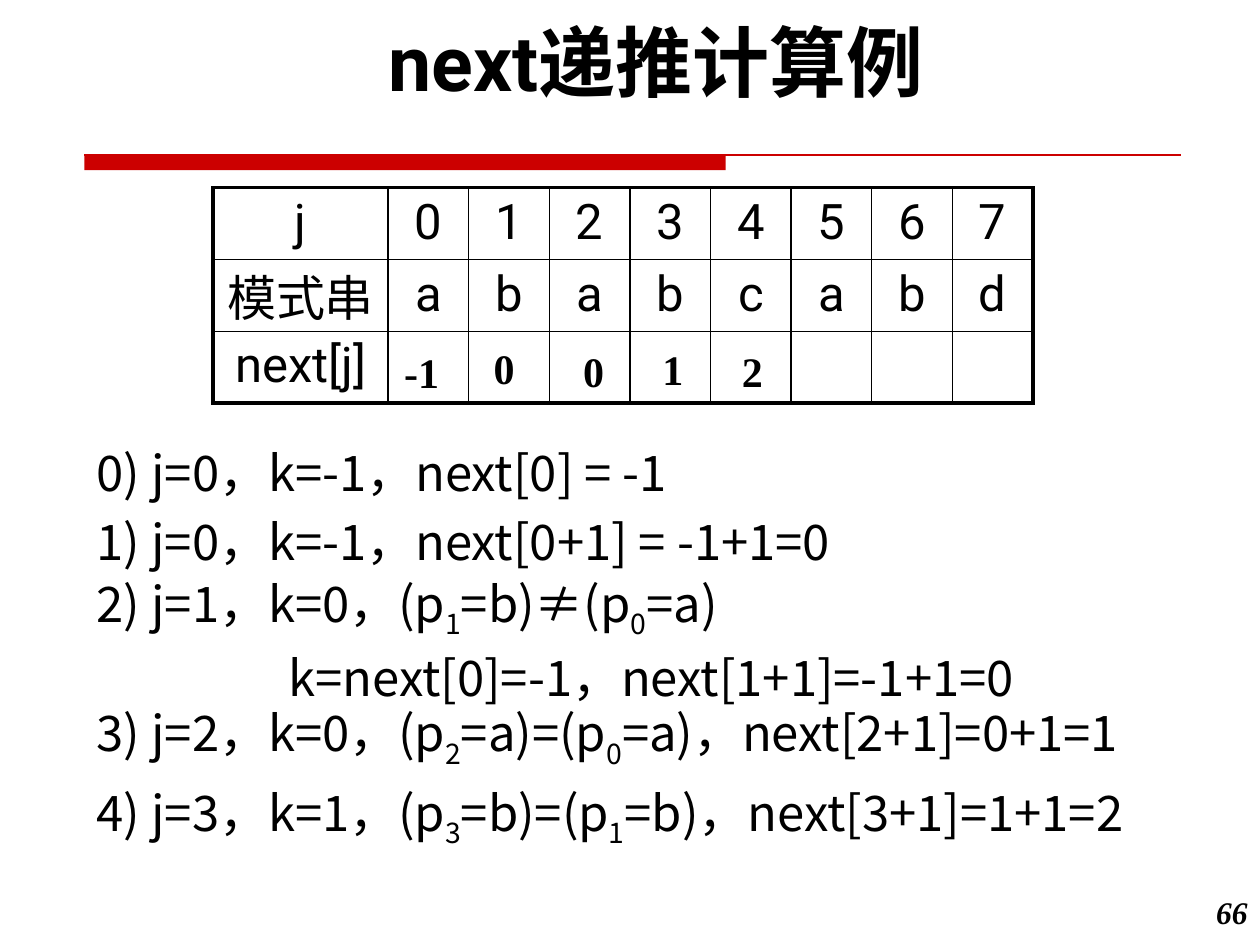
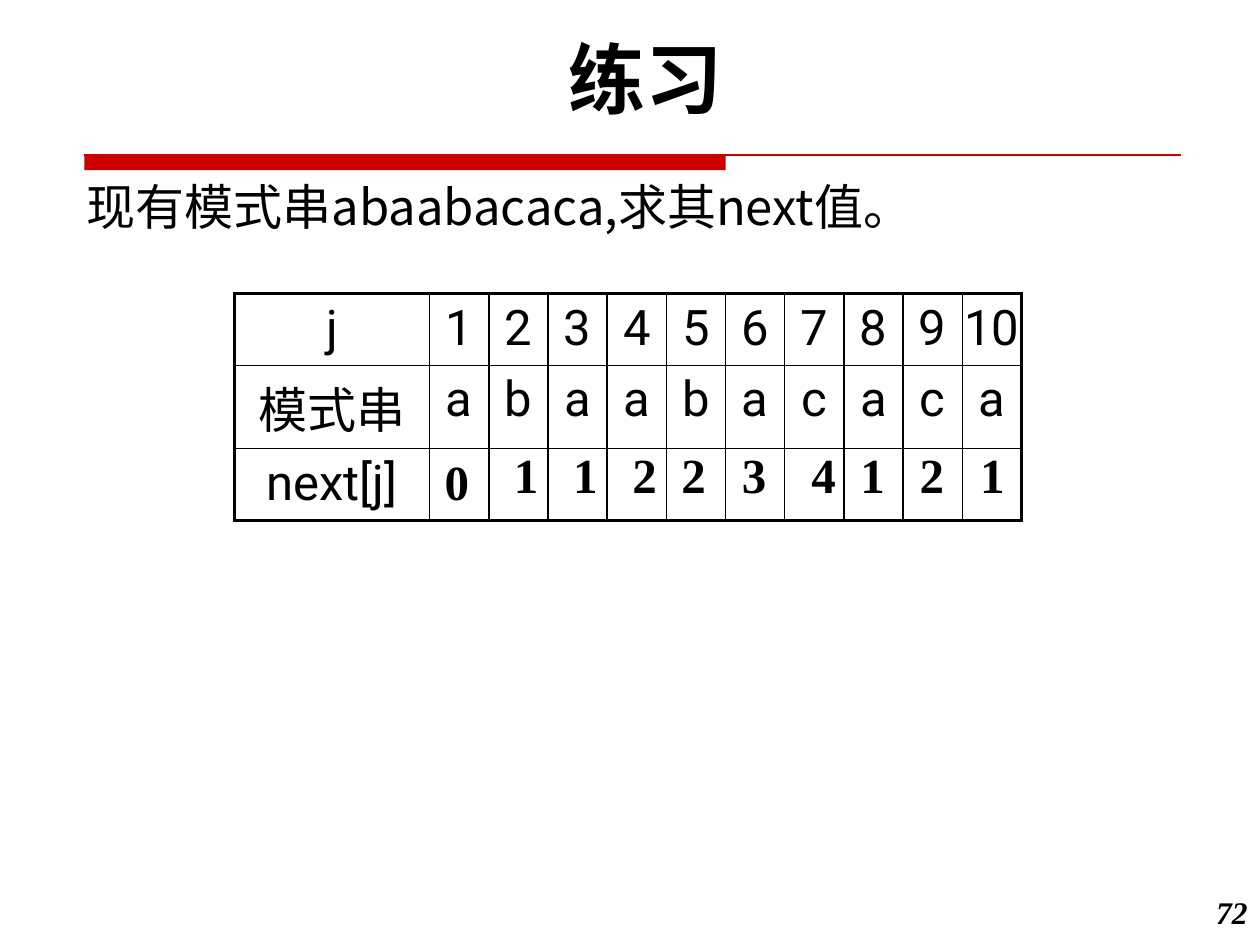
from lxml.etree import SubElement
from pptx import Presentation
from pptx.dml.color import RGBColor
from pptx.enum.shapes import MSO_CONNECTOR, MSO_SHAPE
from pptx.enum.text import MSO_ANCHOR, MSO_AUTO_SIZE, PP_ALIGN
from pptx.oxml.ns import qn
from pptx.util import Inches, Pt

COLORS = {"text": "000000", "band": "CC0000"}
HEAD, CJK, SERIF = "Roboto", "Noto Sans CJK SC", "Times New Roman"
THIN, THICK = 1, 2.25
TITLE_ONLY, TITLE_AND_BODY = 5, 1

# An underscore lowers the character after it.
# Each step: text, left, top, width, left inset
STEPS = [
    ("0) j=0，k=-1，next[0] = -1", 0.67, 3.46, 8.03, 0.1),
    ("1) j=0，k=-1，next[0+1] = -1+1=0", 0.67, 4.01, 8.03, 0.1),
    ("2) j=1，k=0，(p_1=b)≠(p_0=a)", 0.67, 4.53, 8.03, 0.1),
    ("k=next[0]=-1，next[1+1]=-1+1=0", 0.83, 5.09, 8.03, 1.46),
    ("3) j=2，k=0，(p_2=a)=(p_0=a)，next[2+1]=0+1=1", 0.67, 5.56, 9.22, 0.1),
    ("4) j=3，k=1，(p_3=b)=(p_1=b)，next[3+1]=1+1=2", 0.67, 6.19, 8.92, 0.1),
]
EXAMPLE = {
    "title": "next递推计算例", "title_box": (0.67, 0.17, 9.08, 0.83),
    "title_format": {"spacing": 0.9, "insets": (0.1, 0.05, 0.1, 0.17)},
    "page": "66", "steps": STEPS,
    "table": {
        "at": (1.69, 1.49), "label_width": 1.39, "col_width": 0.64,
        "row_heights": (0.57, 0.57, 0.57), "side_inset": 0.1,
        "indices": range(8), "pattern": "ababcabd", "label_spacing": 0.9,
    },
    # Each next value: text, left, top
    "values": [("-1", 3.11, 2.66), ("0", 3.82, 2.63), ("0", 4.53, 2.65),
               ("1", 5.16, 2.64), ("2", 5.79, 2.65)],
    "value_format": {"size": 24, "width": 0.63, "height": 0.5},
}
EXERCISE = {
    "title": "练习", "title_box": (0.5, 0.2, 9.25, 0.84), "title_format": {},
    "page": "72", "body": "现有模式串abaabacaca,求其next值。",
    "table": {
        "at": (1.86, 2.33), "label_width": 1.55, "col_width": 0.47,
        "row_heights": (0.57, 0.66, 0.57), "side_inset": 0,
        "indices": range(1, 11), "pattern": "abaabacaca", "label_spacing": 1,
    },
    "values": [("0", 3.43, 3.49)] + [
        (value, left, 3.44) for value, left in zip(
            "112234121", (3.98, 4.45, 4.92, 5.31, 5.79, 6.34, 6.73, 7.2, 7.68))],
    "value_format": {"size": 28, "width": 0.39, "height": 0.57},
}


def color(name):
    return RGBColor.from_string(COLORS[name])


def write(tf, text, font=CJK, size=28, bold=False, italic=False,
          align=PP_ALIGN.LEFT, spacing=None, bullet=True):
    p = tf.paragraphs[0]
    p.alignment = align
    p.space_before = Pt(0)
    if spacing:
        p.line_spacing = spacing
    if not bullet:
        pPr = p._p.get_or_add_pPr()
        pPr.set("marL", "0")
        pPr.set("indent", "0")
        SubElement(pPr, qn("a:buNone"))
    first, *rest = text.split("_")
    pieces = [(first, False)]
    for part in rest:
        pieces += [(part[0], True), (part[1:], False)]
    for piece, lowered in pieces:
        r = p.add_run()
        r.text = piece
        r.font.name, r.font.size = font, Pt(size)
        r.font.bold, r.font.italic = bold, italic
        r.font.color.rgb = color("text")
        rPr = r._r.get_or_add_rPr()
        east = rPr.makeelement(qn("a:ea"), {"typeface": CJK if font == HEAD else font})
        rPr.find(qn("a:latin")).addnext(east)
        if lowered:
            rPr.set("baseline", "-25000")


def fill_box(sp, box, text, anchor=MSO_ANCHOR.MIDDLE,
             insets=(0.1, 0.05, 0.1, 0.05), **fmt):
    """Place a text box or placeholder and write its text."""
    sp.left, sp.top, sp.width, sp.height = map(Inches, box)
    tf = sp.text_frame
    tf.word_wrap = True
    tf.auto_size = MSO_AUTO_SIZE.NONE
    tf.vertical_anchor = anchor
    (tf.margin_left, tf.margin_top,
     tf.margin_right, tf.margin_bottom) = map(Inches, insets)
    write(tf, text, **fmt)


def add_text(s, box, text, **fmt):
    fill_box(s.shapes.add_textbox(*map(Inches, box)), box, text, **fmt)


def add_serif(s, box, text, **fmt):
    add_text(s, box, text, font=SERIF, bold=True, anchor=MSO_ANCHOR.TOP,
             insets=(0.1, 0.09, 0.1, 0), **fmt)


def add_band(s):
    bar = s.shapes.add_shape(MSO_SHAPE.RECTANGLE, *map(Inches, (0.67, 1.23, 5.09, 0.12)))
    bar.shadow.inherit = False
    bar.fill.solid()
    bar.fill.fore_color.rgb = color("band")
    bar.line.fill.background()
    rule = s.shapes.add_connector(MSO_CONNECTOR.STRAIGHT,
                                  *map(Inches, (0.67, 1.23, 9.37, 1.23)))
    rule.line.color.rgb = color("band")
    rule.line.width = Pt(0.75)
    SubElement(rule._element.spPr, qn("a:effectLst"))


def set_borders(cell, **widths):
    tcPr = cell._tc.get_or_add_tcPr()
    for side, width in widths.items():
        ln = SubElement(tcPr, qn(f"a:ln{side}"), w=str(Pt(width)))
        fill = SubElement(ln, qn("a:solidFill"))
        SubElement(fill, qn("a:srgbClr"), val=COLORS["text"])


def add_next_table(s, t):
    rows = [["j", *map(str, t["indices"])],
            ["模式串", *t["pattern"]],
            ["next[j]"] + [""] * len(t["pattern"])]
    widths = [t["label_width"]] + [t["col_width"]] * len(t["pattern"])
    heights = t["row_heights"]
    size = (sum(widths), sum(heights))
    table = s.shapes.add_table(len(rows), len(widths),
                               *map(Inches, t["at"] + size)).table
    table.first_row = table.horz_banding = False
    for col, width in zip(table.columns, widths):
        col.width = Inches(width)
    for row, height in zip(table.rows, heights):
        row.height = Inches(height)
    last_row, last_col = len(rows) - 1, len(widths) - 1
    for i, texts in enumerate(rows):
        for j, text in enumerate(texts):
            cell = table.cell(i, j)
            is_pattern_label = (i, j) == (1, 0)
            set_borders(cell, L=THIN if j else THICK,
                        R=THICK if j == last_col else THIN,
                        T=THIN if i else THICK,
                        B=THICK if i == last_row else THIN)
            cell.fill.background()
            cell.margin_left = cell.margin_right = Inches(t["side_inset"])
            cell.margin_top = Inches(0.05)
            cell.margin_bottom = Inches(0 if is_pattern_label else 0.05)
            if text:
                write(cell.text_frame, text, font=HEAD, align=PP_ALIGN.CENTER,
                      spacing=t["label_spacing"] if is_pattern_label else None)


def add_slide(prs, content):
    layout = TITLE_AND_BODY if "body" in content else TITLE_ONLY
    s = prs.slides.add_slide(prs.slide_layouts[layout])
    add_band(s)
    fill_box(s.shapes.title, content["title_box"], content["title"], font=HEAD,
             size=44, bold=True, align=PP_ALIGN.CENTER, **content["title_format"])
    if "body" in content:
        fill_box(s.placeholders[1], (0.5, 1.45, 9.25, 1), content["body"],
                 anchor=MSO_ANCHOR.TOP, insets=(0.19, 0, 0.1, 0.05),
                 spacing=0.9, bullet=False)
    add_next_table(s, content["table"])
    for text, left, top, width, inset in content.get("steps", []):
        add_text(s, (left, top, width, 0.57), text, insets=(inset, 0.05, 0.1, 0.05))
    fmt = content["value_format"]
    for text, left, top in content["values"]:
        add_serif(s, (left, top, fmt["width"], fmt["height"]), text, size=fmt["size"])
    add_serif(s, (9.33, 7, 0.67, 0.5), content["page"], size=18, italic=True,
              align=PP_ALIGN.RIGHT)


def main():
    prs = Presentation()
    prs.slide_width, prs.slide_height = Inches(10), Inches(7.5)
    for content in (EXAMPLE, EXERCISE):
        add_slide(prs, content)
    prs.save("out.pptx")


if __name__ == "__main__":
    main()
